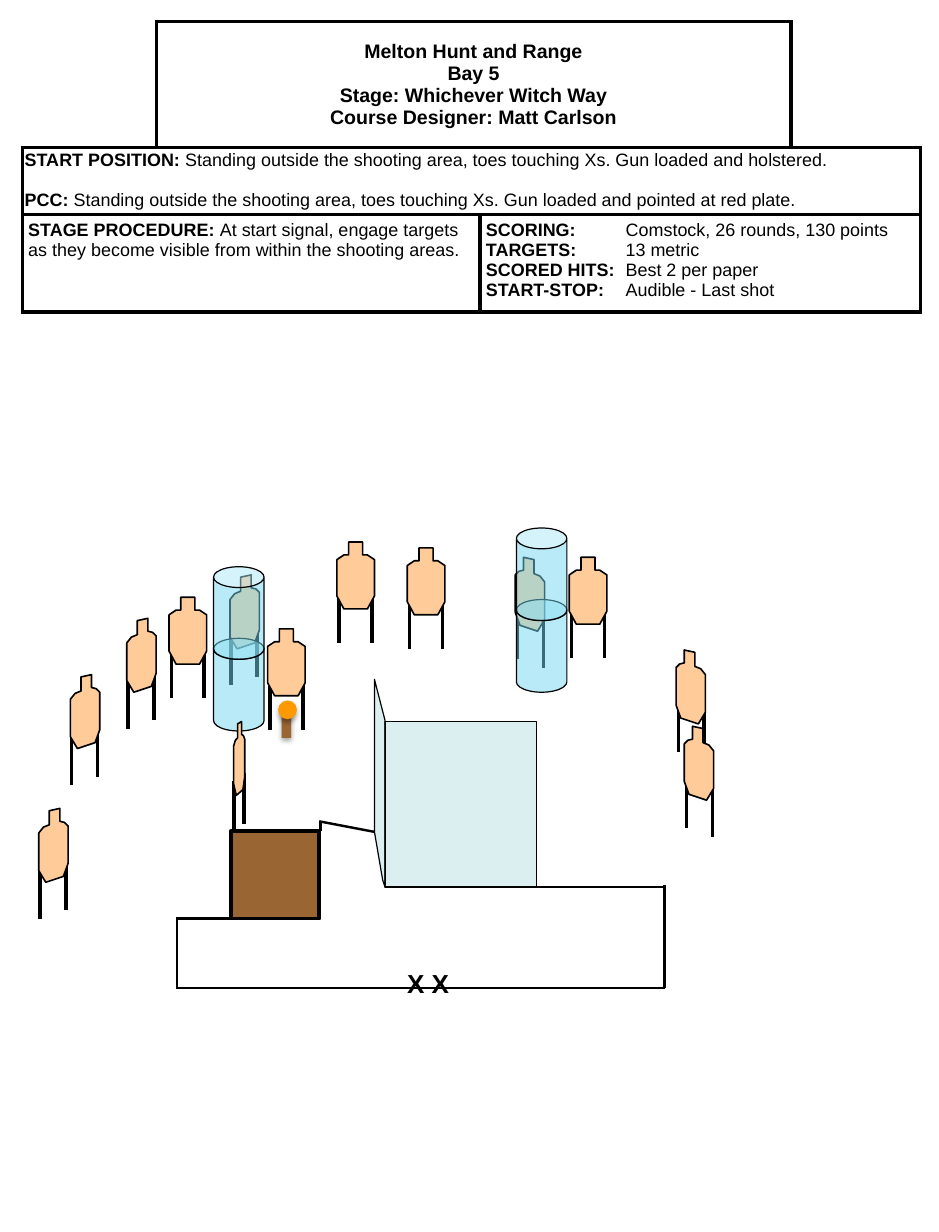
from typing import NamedTuple

from lxml import etree
from pptx import Presentation
from pptx.dml.color import RGBColor
from pptx.enum.shapes import MSO_CONNECTOR, MSO_SHAPE
from pptx.enum.text import MSO_ANCHOR, PP_ALIGN
from pptx.oxml.ns import qn
from pptx.util import Inches, Pt

STRAIGHT = MSO_CONNECTOR.STRAIGHT
RECTANGLE, OVAL, CAN = MSO_SHAPE.RECTANGLE, MSO_SHAPE.OVAL, MSO_SHAPE.CAN
MIDDLE, CENTER = MSO_ANCHOR.MIDDLE, PP_ALIGN.CENTER

FONT = "Arial"
COLORS = {"ink": "000000", "paper": "FFFFFF", "target": "FFCC99", "wood": "996633",
          "barrel": "73D9F1", "wall": "BBE0E3", "plate": "FF9900"}


class Pose(NamedTuple):
    """Target outline and legs (x, top, bottom), from the target's top left corner."""
    width: float
    outline: list
    legs: list


class Target(NamedTuple):
    left: float
    top: float
    pose: Pose
    mirrored: bool = False
    squeeze: float = 1.0


class Span(NamedTuple):
    text: str
    bold: bool = False


FACING = Pose(0.32, [(0.1, 0), (0.22, 0), (0.22, 0.11), (0.26, 0.11), (0.32, 0.15), (0.32, 0.46),
                     (0.26, 0.57), (0.06, 0.57), (0, 0.46), (0, 0.15), (0.06, 0.11), (0.1, 0.11)],
              [(0.02, 0.42, 0.86), (0.3, 0.42, 0.86)])
TURNED = Pose(0.25, [(0.09, 0.02), (0.18, 0), (0.18, 0.11), (0.22, 0.12), (0.25, 0.15), (0.25, 0.47),
                     (0.21, 0.58), (0.06, 0.63), (0, 0.53), (0, 0.21), (0.04, 0.16), (0.09, 0.14)],
              [(0.01, 0.51, 0.94), (0.23, 0.44, 0.87)])

REAR_TARGETS = [Target(5.76, 5.54, TURNED, True), Target(4.39, 4.75, TURNED, True),
                Target(1.96, 4.9, TURNED)]
FRONT_TARGETS = [
    Target(1.44, 5.09, FACING), Target(0.33, 6.89, TURNED), Target(0.6, 5.75, TURNED),
    Target(1.08, 5.27, TURNED), Target(1.99, 6.15, TURNED, squeeze=0.38),
    Target(2.28, 5.36, FACING), Target(2.87, 4.62, FACING), Target(3.47, 4.67, FACING),
    Target(4.85, 4.75, FACING), Target(5.83, 6.19, TURNED, True)]
BARREL_STACKS = [(1.82, 4.83), (4.4, 4.5)]
FAULT_LINES = [(1.5, 7.83, 1.97, 7.83), (1.51, 7.83, 1.51, 8.42), (1.5, 8.42, 5.67, 8.42),
               (2.72, 7, 3.19, 7.09), (2.73, 7.08, 2.73, 7), (4.57, 7.56, 5.67, 7.56),
               (5.66, 7.54, 5.66, 8.42)]
SIDE_WALL = [(3.26, 7.5), (3.19, 7.09), (3.19, 5.79), (3.28, 6.14), (3.28, 7.56)]

COLUMNS, ROWS = [1.14, 2.76, 2.65, 1.1], [1.08, 0.57, 0.83]
BORDERS = [["RB", "LTRB", "TRB", "LB"],
           ["LTRB", "TB", "TB", "TRB"],
           ["LTRB", "TRB", "LTRB", "TRB"]]
HEADING = ["Melton Hunt and Range", "Bay 5", "Stage: Whichever Witch Way",
           "Course Designer: Matt Carlson"]
START = [
    [Span("START POSITION:", True),
     Span(" Standing outside the shooting area, toes touching Xs. Gun loaded and holstered.")],
    [Span("PCC: ", True), Span("Standing outside the shooting area, toes touching Xs. "
                               "Gun loaded and pointed at red plate.")]]
PROCEDURE = [[Span("STAGE PROCEDURE: ", True),
              Span("At start signal, engage targets as they become visible "
                   "from within the shooting areas.")]]
SCORING = [[Span(label, True), Span("\t" + value)] for label, value in [
    ("SCORING:", "Comstock, 26 rounds, 130 points"), ("TARGETS:", "13 metric"),
    ("SCORED HITS:", "Best 2 per paper"), ("START-STOP:", "Audible - Last shot")]]


def rgb(name: str) -> RGBColor:
    return RGBColor.from_string(COLORS[name])


def paint(shape, fill: str, line_width: float = 0, opacity: int = 100) -> None:
    shape.shadow.inherit = False
    shape.fill.solid()
    shape.fill.fore_color.rgb = rgb(fill)
    if opacity < 100:
        color = shape._element.spPr.find(qn("a:solidFill"))[0]
        etree.SubElement(color, qn("a:alpha"), val=str(opacity * 1000))
    if line_width:
        shape.line.color.rgb = rgb("ink")
        shape.line.width = Pt(line_width)
    else:
        shape.line.fill.background()


def add_preset(shapes, kind, left: float, top: float, width: float, height: float):
    return shapes.add_shape(kind, Inches(left), Inches(top), Inches(width), Inches(height))


def add_line(shapes, x1: float, y1: float, x2: float, y2: float, width: float) -> None:
    line = shapes.add_connector(STRAIGHT, Inches(x1), Inches(y1), Inches(x2), Inches(y2))
    line.line.color.rgb = rgb("ink")
    line.line.width = Pt(width)
    etree.SubElement(line._element.spPr, qn("a:effectLst"))


def add_polygon(shapes, points: list):
    corners = [(Inches(x), Inches(y)) for x, y in points]
    builder = shapes.build_freeform(*corners[0], scale=1.0)
    builder.add_line_segments(corners[1:], close=True)
    return builder.convert_to_shape()


def add_target(page, target: Target) -> None:
    pose = target.pose
    shapes = page.shapes.add_group_shape().shapes

    def place(x: float) -> float:
        return target.left + target.squeeze * (pose.width - x if target.mirrored else x)

    for x, top, bottom in pose.legs:
        add_line(shapes, place(x), target.top + top, place(x), target.top + bottom, 2.25)
    body = add_polygon(shapes, [(place(x), target.top + y) for x, y in pose.outline])
    paint(body, "target", 1)


def add_barrels(page, left: float, top: float) -> None:
    shapes = page.shapes.add_group_shape().shapes
    for offset in (0.61, 0):
        barrel = add_preset(shapes, CAN, left, top + offset, 0.43, 0.79)
        barrel.adjustments[0] = 0.413
        paint(barrel, "barrel", 0.75, 50)


def add_plate(page) -> None:
    shapes = page.shapes.add_group_shape().shapes
    for kind, box, fill in [(RECTANGLE, (2.4, 6.07, 0.08, 0.22), "wood"),
                            (OVAL, (2.37, 5.97, 0.16, 0.16), "plate")]:
        part = add_preset(shapes, kind, *box)
        paint(part, fill)
        shadow = etree.SubElement(part._element.spPr.find(qn("a:effectLst")), qn("a:outerShdw"),
                                  blurRad=str(Pt(3.1)), dist=str(Pt(1.8)), dir="5400000",
                                  rotWithShape="0")
        color = etree.SubElement(shadow, qn("a:srgbClr"), val=COLORS["ink"])
        etree.SubElement(color, qn("a:alpha"), val="35000")


def add_span(para, span: Span, size: float) -> None:
    run = para.add_run()
    run.text = span.text
    run.font.name, run.font.size, run.font.bold = FONT, Pt(size), span.bold
    run.font.color.rgb = rgb("ink")


def style_cell(cell, sides: str) -> None:
    cell.fill.solid()
    cell.fill.fore_color.rgb = rgb("paper")
    for index, side in enumerate("LRTB"):
        border = etree.Element(qn(f"a:ln{side}"), w=str(Pt(2.25)))
        if side in sides:
            fill = etree.SubElement(border, qn("a:solidFill"))
            etree.SubElement(fill, qn("a:srgbClr"), val=COLORS["ink"])
        else:
            etree.SubElement(border, qn("a:noFill"))
        cell._tc.get_or_add_tcPr().insert(index, border)


def fill_cell(cell, paras: list, side: float = 0.05, edge: float = 0.05, gap: float = 0,
              spacing: float = 1.0, tab: float = 0) -> None:
    cell.margin_left = cell.margin_right = Inches(side)
    cell.margin_top = cell.margin_bottom = Inches(edge)
    for index, spans in enumerate(paras):
        para = cell.text_frame.add_paragraph() if index else cell.text_frame.paragraphs[0]
        if tab:
            stops = etree.SubElement(para._p.get_or_add_pPr(), qn("a:tabLst"))
            etree.SubElement(stops, qn("a:tab"), pos=str(Inches(tab)), algn="l")
        para.line_spacing = spacing
        if index:
            para.space_before = Pt(gap)
        for span in spans:
            add_span(para, span, 11)


def add_briefing(page) -> None:
    frame = page.shapes.add_table(len(ROWS), len(COLUMNS), Inches(0.19), Inches(0.18),
                                  Inches(sum(COLUMNS)), Inches(sum(ROWS)))
    table = frame.table
    table.first_row = table.horz_banding = False
    for column, width in zip(table.columns, COLUMNS):
        column.width = Inches(width)
    for r, height in enumerate(ROWS):
        table.rows[r].height = Inches(height)
        for c, sides in enumerate(BORDERS[r]):
            style_cell(table.cell(r, c), sides)
    for row, first, last in [(0, 1, 2), (1, 0, 3), (2, 0, 1), (2, 2, 3)]:
        table.cell(row, first).merge(table.cell(row, last))

    heading = table.cell(0, 1)
    heading.vertical_anchor = MIDDLE
    para = heading.text_frame.paragraphs[0]
    para.alignment = CENTER
    for index, text in enumerate(HEADING):
        if index:
            para.add_line_break()
        add_span(para, Span(text, True), 12)
    fill_cell(table.cell(1, 0), START, side=0.02, edge=0.04, gap=13, spacing=0.9)
    fill_cell(table.cell(2, 0), PROCEDURE)
    fill_cell(table.cell(2, 2), SCORING, tab=1.19)


def main() -> None:
    deck = Presentation()
    deck.slide_width, deck.slide_height = Inches(8), Inches(10.5)
    page = deck.slides.add_slide(deck.slide_layouts[6])
    for target in REAR_TARGETS:
        add_target(page, target)
    add_briefing(page)
    paint(add_preset(page.shapes, RECTANGLE, 1.97, 7.08, 0.75, 0.75), "wood", 2.25)
    for left, top in BARREL_STACKS:
        add_barrels(page, left, top)
    paint(add_preset(page.shapes, RECTANGLE, 3.28, 6.15, 1.29, 1.41), "wall", 0.75, 50)
    for ends in FAULT_LINES:
        add_line(page.shapes, *ends, 1.5)
    paint(add_polygon(page.shapes, SIDE_WALL), "wall", 0.75, 50)
    for target in FRONT_TARGETS:
        add_target(page, target)
    marks = page.shapes.add_textbox(Inches(3.37), Inches(8.2), Inches(0.58), Inches(0.37))
    add_span(marks.text_frame.paragraphs[0], Span("X X", True), 16)
    add_plate(page)
    deck.save("out.pptx")


if __name__ == "__main__":
    main()
